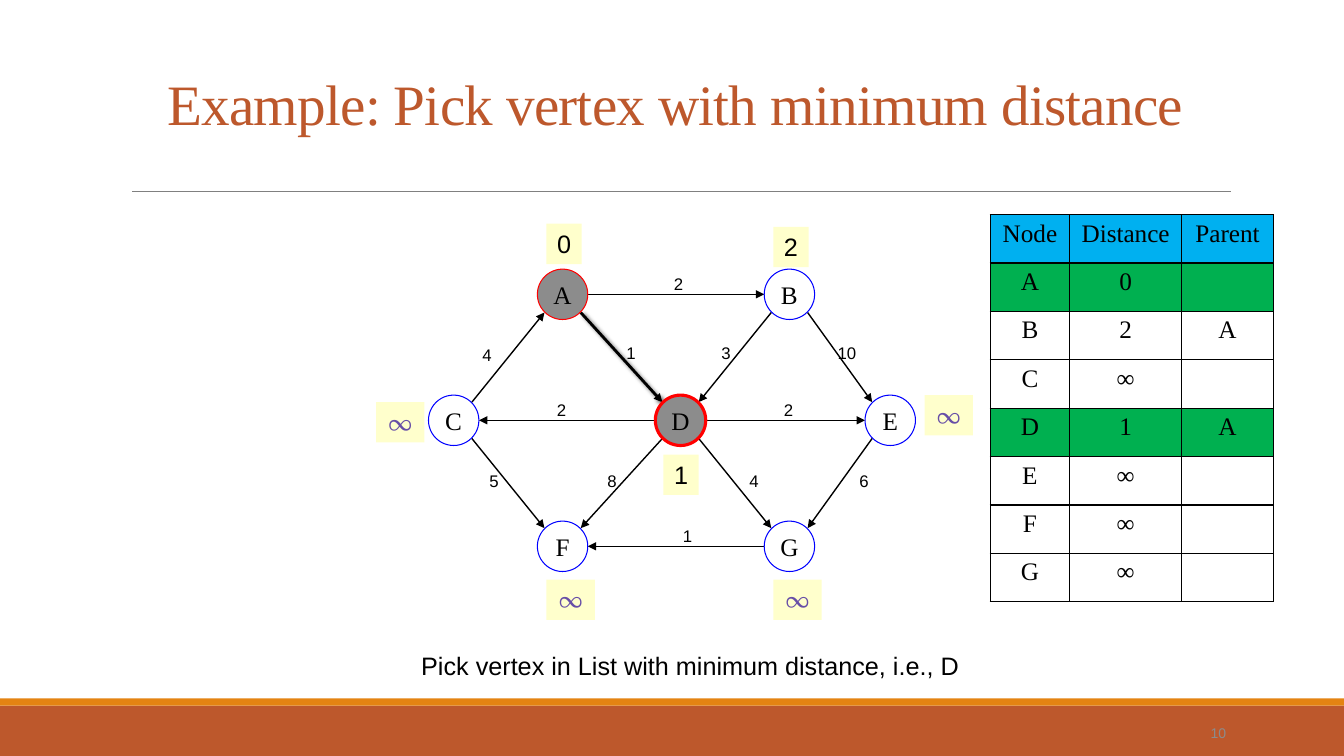
from dataclasses import dataclass
from typing import Optional

import pptx
import pptx.dml.color
import pptx.enum.shapes
import pptx.enum.text
import pptx.oxml
import pptx.oxml.ns
import pptx.util
from lxml import etree

PX = 9144  # one hundred px to the inch
DIAMETER = 50
INFINITY = "∞"
SERIF, SANS, SYMBOL = "Times New Roman", "Arial", "Vollkorn"
COLOURS = {
    "black": "000000", "rust": "BD582C", "orange": "E48312", "rule": "808080",
    "visited": "8C8C8C", "red": "FF0000", "blue": "0000FF", "badge": "FFFFCC",
    "violet": "674EA7", "header": "00B0F0", "green": "00B050", "number": "8C8C8C",
}
SHAPE = pptx.enum.shapes.MSO_SHAPE
ANCHOR = pptx.enum.text.MSO_ANCHOR
ALIGN = pptx.enum.text.PP_ALIGN
Pt = pptx.util.Pt


@dataclass
class Node:
    name: str
    x: int  # centre
    y: int
    badge_left: int
    badge_top: int
    distance: str = INFINITY
    parent: str = ""
    visited: bool = False
    outline: float = 0.75


@dataclass
class Edge:
    start: str
    end: str
    weight: str
    label_left: int
    label_top: int
    chosen: bool = False


NODES = [
    Node("A", 558, 292, 542, 222, "0", visited=True),
    Node("B", 783, 292, 767, 225, "2", "A"),
    Node("C", 450, 417, 373, 399),
    Node("D", 675, 417, 658, 451, "1", "A", visited=True, outline=2.25),
    Node("E", 883, 417, 917, 392),
    Node("F", 558, 542, 542, 575),
    Node("G", 783, 542, 767, 575),
]
EDGES = [
    Edge("A", "B", "2", 658, 267),
    Edge("A", "D", "1", 611, 335, chosen=True),
    Edge("B", "D", "3", 705, 335),
    Edge("B", "E", "10", 820, 335),
    Edge("C", "A", "4", 468, 337),
    Edge("C", "F", "5", 475, 462),
    Edge("D", "C", "2", 542, 392),
    Edge("D", "E", "2", 767, 392),
    Edge("D", "F", "8", 592, 462),
    Edge("D", "G", "4", 733, 462),
    Edge("E", "G", "6", 842, 462),
    Edge("G", "F", "1", 667, 517),
]


def colour(name: str) -> pptx.dml.color.RGBColor:
    return pptx.dml.color.RGBColor.from_string(COLOURS[name])


def style(para, size: float, font: str, ink: str = "black", align=ALIGN.CENTER) -> None:
    para.alignment = align
    para.font.size, para.font.name = Pt(size), font
    para.font.color.rgb = colour(ink)


def write(shape, text: str, size: float, font: str, ink: str = "black",
          anchor=ANCHOR.TOP, wrap: bool = False, align=ALIGN.CENTER):
    frame = shape.text_frame
    frame.word_wrap, frame.vertical_anchor = wrap, anchor
    para = frame.paragraphs[0]
    para.text = text
    style(para, size, font, ink, align)
    return para


def add_text_box(page, left: int, top: int, width: int, height: int):
    return page.shapes.add_textbox(left * PX, top * PX, width * PX, height * PX)


def add_block(page, preset, left: int, top: int, width: int, height: int,
              fill: Optional[str], line: Optional[str] = None, weight: float = 0.75):
    block = page.shapes.add_shape(preset, left * PX, top * PX, width * PX, height * PX)
    block.shadow.inherit = False
    if fill:
        block.fill.solid()
        block.fill.fore_color.rgb = colour(fill)
    else:
        block.fill.background()
    if line:
        block.line.color.rgb, block.line.width = colour(line), Pt(weight)
    else:
        block.line.fill.background()
    return block


def add_line(page, x1: int, y1: int, x2: int, y2: int, ink: str, weight: float,
             arrow: bool = False, shadow: bool = False) -> None:
    line = page.shapes.add_connector(
        pptx.enum.shapes.MSO_CONNECTOR.STRAIGHT, x1 * PX, y1 * PX, x2 * PX, y2 * PX)
    line.line.color.rgb, line.line.width = colour(ink), Pt(weight)
    qn = pptx.oxml.ns.qn
    if arrow:
        etree.SubElement(line.line._get_or_add_ln(), qn("a:tailEnd"), type="triangle")
    effects = etree.SubElement(line._element.spPr, qn("a:effectLst"))
    if shadow:
        cast = etree.SubElement(effects, qn("a:outerShdw"),
                                blurRad="38100", dist="25400", dir="2700000")
        tint = etree.SubElement(cast, qn("a:srgbClr"), val=COLOURS["black"])
        etree.SubElement(tint, qn("a:alpha"), val="60000")


def add_edge(page, edge: Edge, places: dict) -> None:
    start, end = places[edge.start], places[edge.end]
    # Level edges leave at the side of the circle, slanted ones at 45 degrees
    reach = 25 if start.y == end.y else 18
    dx = reach if end.x > start.x else -reach
    dy = 0 if start.y == end.y else (reach if end.y > start.y else -reach)
    add_line(page, start.x + dx, start.y + dy, end.x - dx, end.y - dy, "black",
             2 if edge.chosen else 1, arrow=True, shadow=edge.chosen)


def add_node(page, node: Node) -> None:
    radius = DIAMETER // 2
    circle = add_block(page, SHAPE.OVAL, node.x - radius, node.y - radius, DIAMETER, DIAMETER,
                       "visited" if node.visited else None,
                       "red" if node.visited else "blue", node.outline)
    write(circle, node.name, 18, SERIF, anchor=ANCHOR.MIDDLE)


def add_badge(page, node: Node) -> None:
    unknown = node.distance == INFINITY
    badge = add_block(page, SHAPE.RECTANGLE, node.badge_left, node.badge_top,
                      48 if unknown else 35, 40, "badge")
    write(badge, node.distance, 18, SYMBOL if unknown else SANS,
          "violet" if unknown else "black")


def fill_cell(cell, text: str, fill: Optional[str]) -> None:
    para = cell.text_frame.paragraphs[0]
    para.text = text
    style(para, 18, SERIF)
    if fill:
        cell.fill.solid()
        cell.fill.fore_color.rgb = colour(fill)
    else:
        cell.fill.background()
    for position, side in enumerate(("lnL", "lnR", "lnT", "lnB")):
        cell._tc.get_or_add_tcPr().insert(position, pptx.oxml.parse_xml(
            f'<a:{side} {pptx.oxml.ns.nsdecls("a")} w="12700"><a:solidFill>'
            f'<a:srgbClr val="{COLOURS["black"]}"/></a:solidFill></a:{side}>'))


def add_distance_table(page) -> None:
    rows = [("Node", "Distance", "Parent")] + [(n.name, n.distance, n.parent) for n in NODES]
    fills = ["header"] + ["green" if n.visited else None for n in NODES]
    table = page.shapes.add_table(len(rows), 3, 982 * PX, 213 * PX,
                                  281 * PX, 48 * len(rows) * PX).table
    table.first_row = table.horz_banding = False
    for column, width in zip(table.columns, (79, 111, 91)):
        column.width = width * PX
    for r, (texts, fill) in enumerate(zip(rows, fills)):
        for c, text in enumerate(texts):
            fill_cell(table.cell(r, c), text, fill)


def main() -> None:
    deck = pptx.Presentation()
    deck.slide_width, deck.slide_height = 1333 * PX, 750 * PX
    page = deck.slides.add_slide(deck.slide_layouts[6])

    # Footer bands, title rule and page number
    add_block(page, SHAPE.RECTANGLE, 0, 700, 1333, 50, "rust")
    add_block(page, SHAPE.RECTANGLE, 0, 693, 1333, 7, "orange")
    add_line(page, 131, 190, 1221, 190, "rule", 0.5)
    write(add_text_box(page, 1126, 707, 100, 40), "10", 10, SANS, "number",
          ANCHOR.MIDDLE, wrap=True, align=ALIGN.RIGHT)

    # Title and caption
    title = write(add_text_box(page, 120, 50, 1100, 90),
                  "Example: Pick vertex with minimum distance", 40.8, SERIF, "rust",
                  ANCHOR.BOTTOM, wrap=True)
    title.line_spacing = 0.75
    title.runs[0].font._element.set("spc", "-50")
    write(add_text_box(page, 405, 640, 559, 40),
          "Pick vertex in List with minimum distance, i.e., D", 18, SANS)

    # Graph
    places = {node.name: node for node in NODES}
    for edge in EDGES:
        add_edge(page, edge, places)
    for node in NODES:
        add_node(page, node)
        add_badge(page, node)
    for edge in EDGES:
        label = add_text_box(page, edge.label_left, edge.label_top,
                             20 + 10 * len(edge.weight), 30)
        write(label, edge.weight, 12, SANS, anchor=ANCHOR.MIDDLE)

    # Distances
    add_distance_table(page)
    deck.save("out.pptx")


if __name__ == "__main__":
    main()
